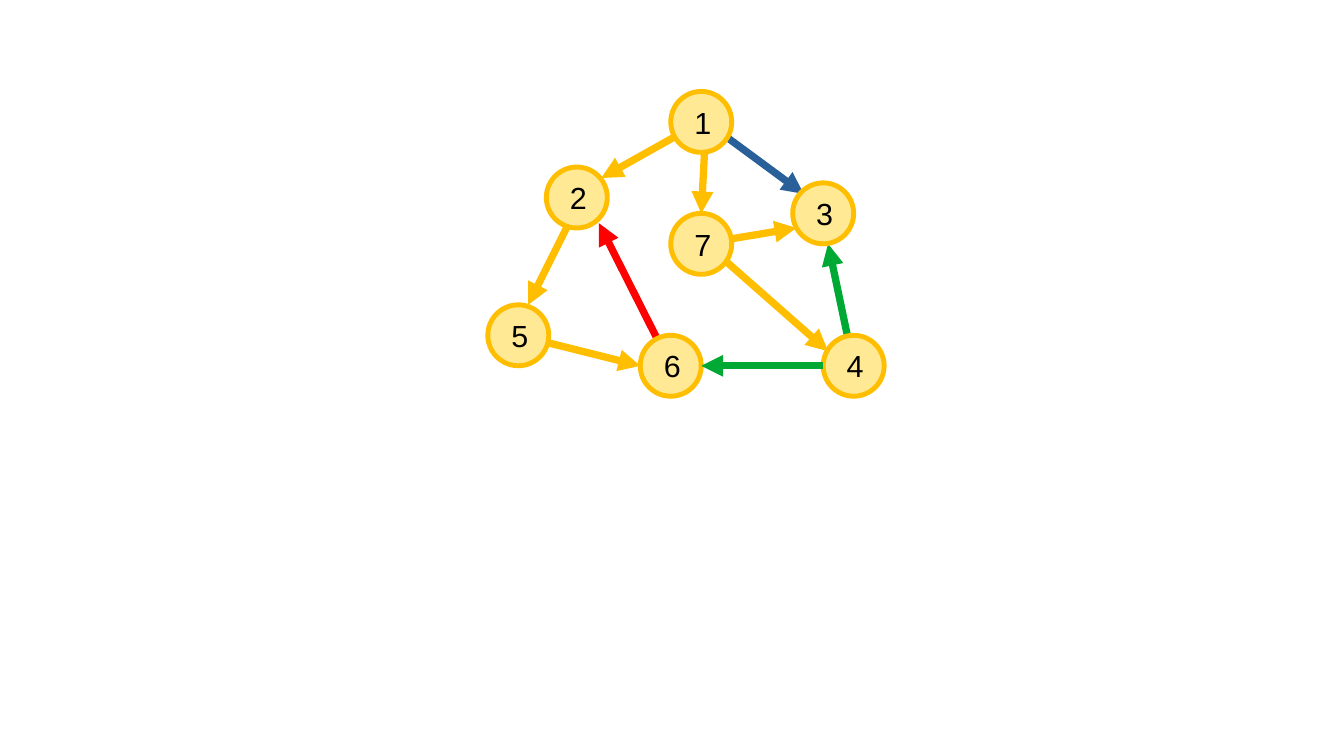
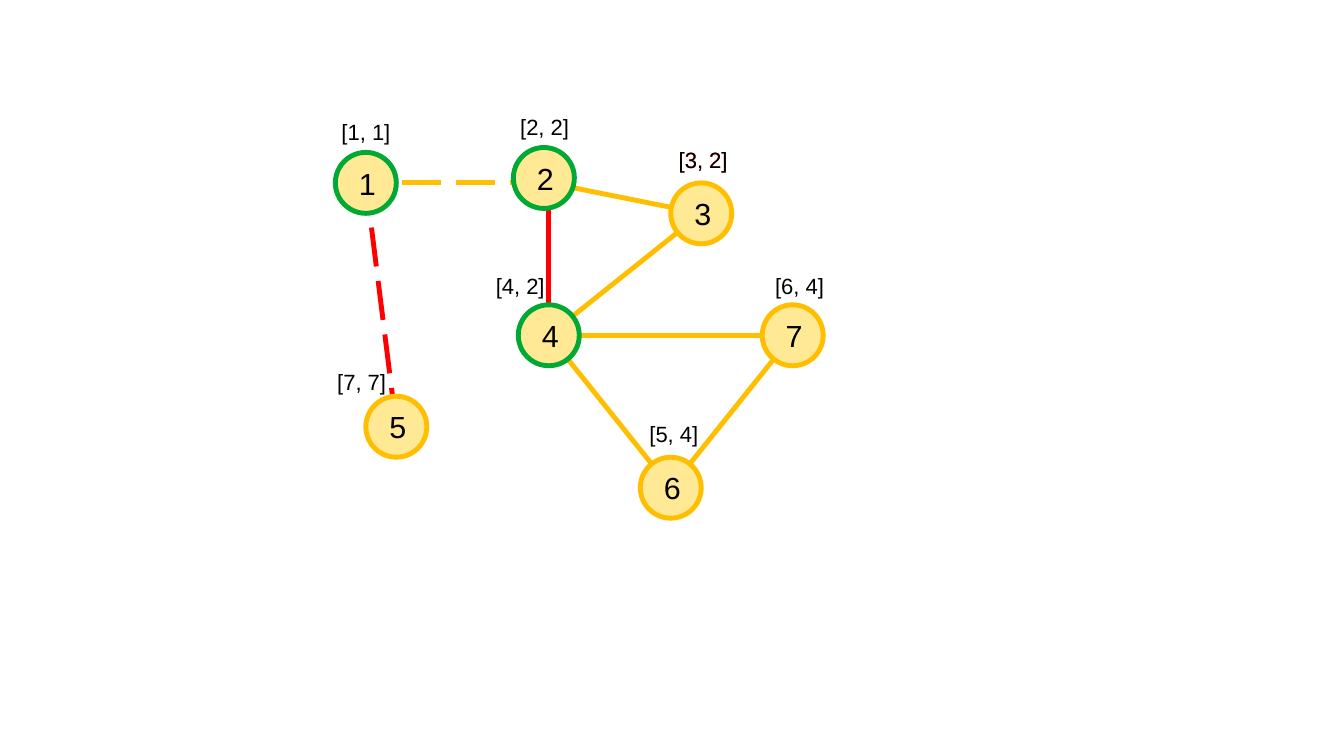
from dataclasses import dataclass

from lxml import etree
from pptx import Presentation
from pptx.dml.color import RGBColor
from pptx.enum import dml, shapes, text
from pptx.oxml import ns
from pptx.util import Inches, Pt


@dataclass(frozen=True)
class Theme:
    font: str = "Arial"
    gold: str = "FFBF00"
    cream: str = "FFE994"
    green: str = "00A933"
    red: str = "FF0000"
    blue: str = "2A6099"
    black: str = "000000"
    digit: float = 18
    note: float = 13
    thin: float = 2.89
    thick: float = 4.31


T = Theme()
CELL = 0.25  # grid step in inches


class Deck:
    def __init__(self):
        self.prs = Presentation()
        self.prs.slide_width = Inches(11.02)
        self.prs.slide_height = Inches(6.2)

    def page(self):
        self.items = self.prs.slides.add_slide(self.prs.slide_layouts[6]).shapes

    def grid(self, *cells):
        return [Inches(c * CELL) for c in cells]

    def box(self, mid, wide, high):
        return self.grid(mid[0] - wide / 2, mid[1] - high / 2, wide, high)

    def letter(self, shape, words, size, ink):
        frame = shape.text_frame
        frame.text = words
        frame.word_wrap = True
        frame.vertical_anchor = text.MSO_ANCHOR.MIDDLE
        par = frame.paragraphs[0]
        par.alignment = text.PP_ALIGN.CENTER
        font = par.runs[0].font
        font.name, font.size = T.font, Pt(size)
        font.color.rgb = RGBColor.from_string(ink)
        return frame

    def node(self, mid, name, rim=T.gold):
        dot = self.items.add_shape(shapes.MSO_SHAPE.OVAL, *self.box(mid, 2, 2))
        dot.shadow.inherit = False
        dot.fill.solid()
        dot.fill.fore_color.rgb = RGBColor.from_string(T.cream)
        dot.line.color.rgb = RGBColor.from_string(rim)
        dot.line.width = Pt(T.thin)
        frame = self.letter(dot, name, T.digit, T.black)
        frame.margin_left = frame.margin_right = Inches(0.12)
        frame.margin_top = frame.margin_bottom = Inches(0.07)

    def label(self, mid, words, ink=T.black):
        note = self.items.add_textbox(*self.box(mid, 3, 2))
        frame = self.letter(note, words, T.note, ink)
        frame.auto_size = text.MSO_AUTO_SIZE.SHAPE_TO_FIT_TEXT

    def edge(self, start, end, ink=T.gold, width=T.thin, dash=False, arrow=False):
        line = self.items.add_connector(
            shapes.MSO_CONNECTOR.STRAIGHT, *self.grid(*start, *end))
        line.line.color.rgb = RGBColor.from_string(ink)
        line.line.width = Pt(width)
        if dash:
            line.line.dash_style = dml.MSO_LINE.LONG_DASH
        props = line._element.spPr
        if arrow:
            tip = etree.SubElement(props.find(ns.qn("a:ln")), ns.qn("a:tailEnd"))
            tip.set("type", "triangle")
        etree.SubElement(props, ns.qn("a:effectLst"))

    def arrow(self, start, end, ink=T.gold):
        self.edge(start, end, ink, T.thick, arrow=True)


def digraph(deck):
    deck.page()
    nodes = {"1": (23, 4), "2": (18.92, 6.48), "3": (27, 7), "4": (28, 12),
             "5": (17, 11), "6": (22, 12), "7": (23, 8)}
    # Source node, shift from its centre, arrow tip, colour
    arcs = [
        ("7", (0, 0), (26.12, 7.48), T.gold),
        ("5", (0, 0), (21, 12), T.gold),
        ("4", (0, 0), (27.16, 8), T.green),
        ("1", (0.16, 0), (26.36, 6.36), T.blue),
        ("1", (0.16, 0), (23, 7), T.gold),
        ("1", (0, 0), (19.72, 5.84), T.gold),
        ("2", (0.4, -0.48), (17.32, 10), T.gold),
        ("6", (0, 0), (19.64, 7.32), T.red),
        ("7", (0.16, 0), (27.16, 11.52), T.gold),
    ]
    for name, (dx, dy), tip, ink in arcs:
        x, y = nodes[name]
        deck.arrow((x + dx, y + dy), tip, ink)
    for name, mid in nodes.items():
        deck.node(mid, name)
    # The cross edge 4 to 6 lies in front, rim to rim
    deck.arrow((27, 12), (23, 12), T.green)


def bridges(deck):
    deck.page()
    nodes = {"1": (12, 6), "2": (17.84, 5.84), "3": (23, 7), "4": (18, 11),
             "5": (13, 14), "6": (22, 16), "7": (26, 11)}
    ends = {**nodes, "2": (18, 6)}
    # Edges: node pair, colour, dashed or not
    for pair, ink, dash in [
            ("46", T.gold, False), ("76", T.gold, False), ("74", T.gold, False),
            ("43", T.gold, False), ("24", T.red, False), ("21", T.gold, True),
            ("51", T.red, True), ("23", T.gold, False)]:
        deck.edge(ends[pair[0]], ends[pair[1]], ink, dash=dash)
    for name, mid in nodes.items():
        deck.node(mid, name, T.green if name in "124" else T.gold)
    # Entry and low numbers, one pair set in two layers
    for mid, words, ink in [
            ((17.86, 4.16), "[2, 2]", T.black), ((12, 4.32), "[1, 1]", T.black),
            ((23.06, 5.24), "[3, 2]", T.red), ((17.06, 9.36), "[4, 2]", T.black),
            ((23.06, 5.24), "[3, 2]", T.black), ((22.1, 14.24), "[5, 4]", T.black),
            ((26.22, 9.36), "[6, 4]", T.black), ((11.86, 12.52), "[7, 7]", T.black)]:
        deck.label(mid, words, ink)


def main():
    deck = Deck()
    digraph(deck)
    bridges(deck)
    deck.prs.save("out.pptx")


if __name__ == "__main__":
    main()
